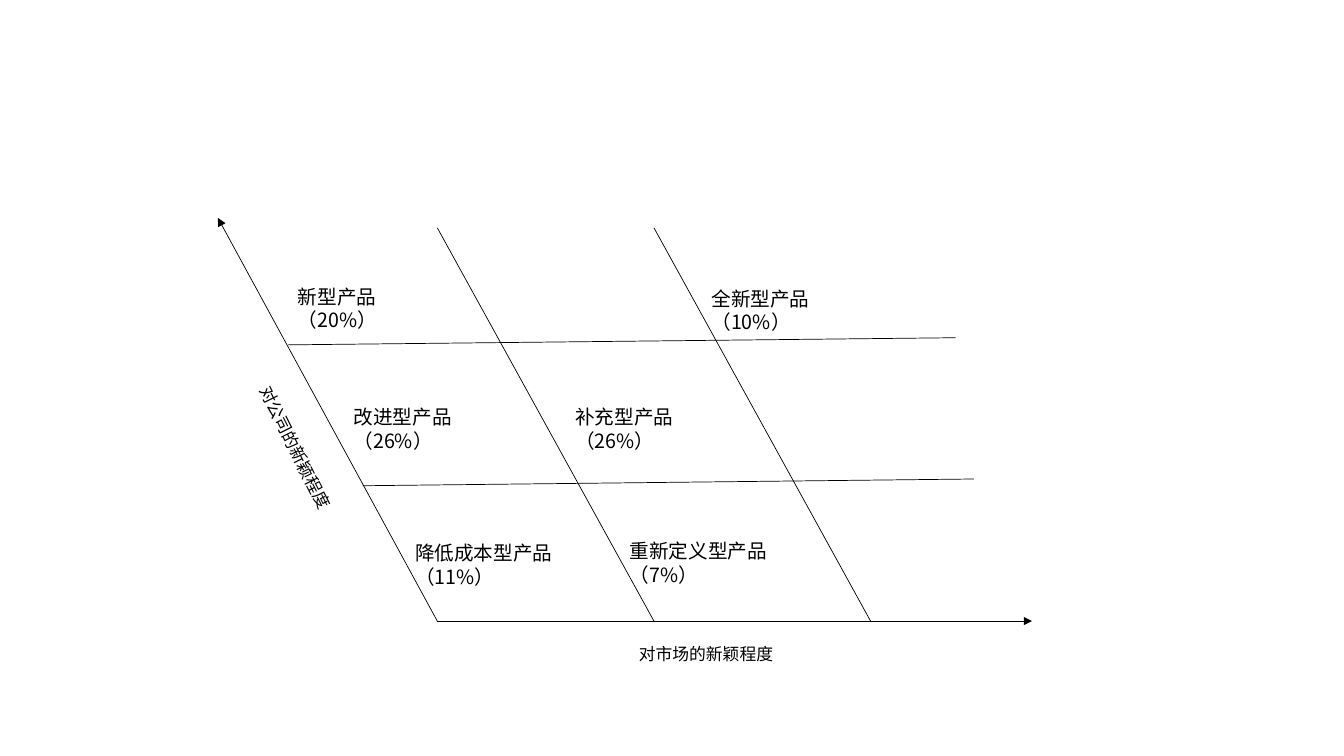
from dataclasses import dataclass

from lxml import etree
from pptx import Presentation
from pptx.dml.color import RGBColor
from pptx.enum.shapes import MSO_CONNECTOR as Conn
from pptx.oxml.ns import qn
from pptx.util import Cm, Pt

FONT = "Noto Sans CJK SC"
BLACK = "000000"
LEFT, BASE = 11.02, 15.65  # where the axes meet, in cm
STEP, TOP = 5.46, 5.74     # column width and top of the columns


@dataclass
class Line:
    x1: float
    y1: float
    x2: float
    y2: float
    arrow: bool = False


@dataclass
class Cell:
    x: float
    y: float
    width: float
    name: str
    share: str


def paint(color, code: str) -> None:
    color.rgb = RGBColor.from_string(code)


def draw_line(slide, item: Line) -> None:
    link = slide.shapes.add_connector(
        Conn.STRAIGHT, Cm(item.x1), Cm(item.y1), Cm(item.x2), Cm(item.y2))
    link.line.width = Pt(0.5)
    paint(link.line.color, BLACK)
    if item.arrow:
        etree.SubElement(link.line._get_or_add_ln(), qn("a:tailEnd"), type="triangle")
    etree.SubElement(link._element.spPr, qn("a:effectLst"))


def add_text(slide, *lines: str, x: float, y: float, width: float, height: float,
             size: float = 14, turn: float = 0, code: str = BLACK) -> None:
    box = slide.shapes.add_textbox(Cm(x), Cm(y), Cm(width), Cm(height))
    box.rotation = turn
    box.text_frame.word_wrap = True
    para = box.text_frame.paragraphs[0]
    para.line_spacing = Pt(round(size * 1.21, 1))
    for i, text in enumerate(lines):
        if i:
            para.add_line_break()
        run = para.add_run()
        run.text = text
        run.font.size = Pt(size)
        run.font.name = FONT
        paint(run.font.color, code)
        east = etree.SubElement(run.font._element, qn("a:ea"))
        east.set("typeface", FONT)


def main() -> None:
    deck = Presentation()
    deck.slide_width, deck.slide_height = Cm(33.87), Cm(19.05)
    slide = deck.slides.add_slide(deck.slide_layouts[6])

    # Axes, rows and columns
    lines = [
        Line(LEFT, BASE, 26.01, BASE, arrow=True),
        Line(LEFT, BASE, 5.49, 5.49, arrow=True),
        Line(9.14, 12.24, 24.54, 12.07),
        Line(7.26, 8.69, 24.08, 8.51),
    ]
    lines += [Line(LEFT + i * STEP, TOP, LEFT + (i + 1) * STEP, BASE) for i in range(2)]
    for item in lines:
        draw_line(slide, item)

    # Axis labels
    add_text(slide, "对市场的新颖程度", x=15.85, y=16.1, width=3.94, height=0.76, size=12)
    add_text(slide, "对公司的新颖程度", x=5.49, y=10.92, width=3.94, height=0.76,
             size=12, turn=63.4)

    # Product types and their shares
    cells = [
        Cell(7.26, 7.04, 4.29, "新型产品", "20%"),
        Cell(17.68, 7.09, 4.78, "全新型产品", "10%"),
        Cell(8.66, 10.08, 4.78, "改进型产品", "26%"),
        Cell(14.25, 10.08, 4.78, "补充型产品", "26%"),
        Cell(10.21, 13.5, 5.77, "降低成本型产品", "11%"),
        Cell(15.62, 13.46, 5.51, "重新定义型产品", "7%"),
    ]
    for cell in cells:
        add_text(slide, cell.name, f"（{cell.share}）",
                 x=cell.x, y=cell.y, width=cell.width, height=0.86)

    deck.save("out.pptx")


if __name__ == "__main__":
    main()
